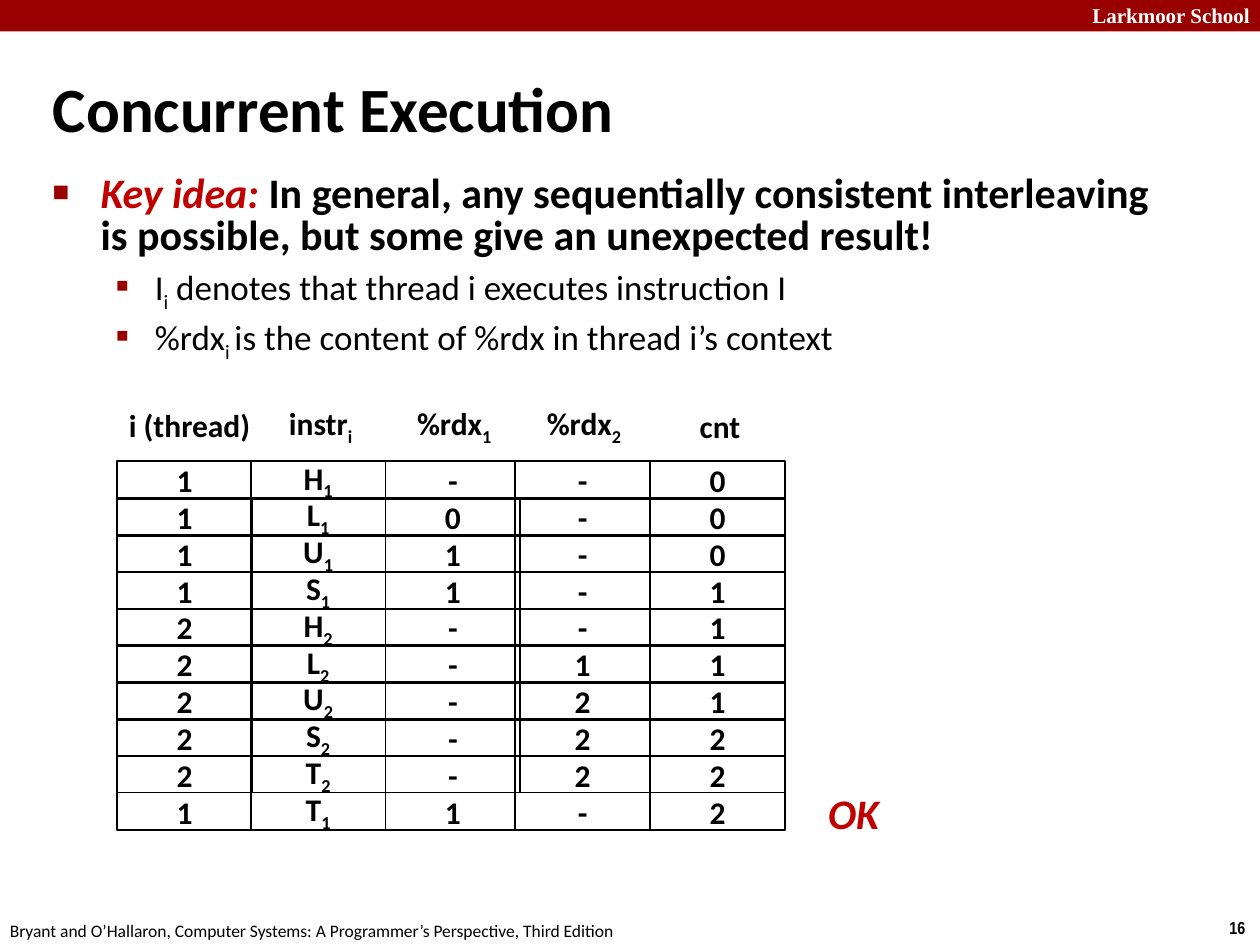
import pptx
import pptx.util
import pptx.dml.color
import pptx.enum.shapes
import pptx.enum.text
import pptx.oxml
import pptx.oxml.ns

Inches, Pt = pptx.util.Inches, pptx.util.Pt
Align, Anchor = pptx.enum.text.PP_ALIGN, pptx.enum.text.MSO_ANCHOR
Fit = pptx.enum.text.MSO_AUTO_SIZE

HUES = {"bar": "990000", "key": "C00000", "ink": "000000", "paper": "FFFFFF"}
COLS = [0, 1.06, 2.13, 3.16, 4.23]
CELL_W, CELL_H, PITCH = 1.07, 0.3, 0.29 + 0.02 / 9
HEADS = [  # text, left, top, width
    ("i (thread)", -0.01, 0, 1.17),
    ("instr_i", 1.26, 0.01, 0.71),
    ("%rdx_1", 2.27, 0.01, 0.81),
    ("%rdx_2", 3.3, 0.01, 0.81),
    ("cnt", 4.52, 0.01, 0.53),
]
STEPS = [
    ["1", "H_1", "-", "-", "0"],
    ["1", "L_1", "0", "-", "0"],
    ["1", "U_1", "1", "-", "0"],
    ["1", "S_1", "1", "-", "1"],
    ["2", "H_2", "-", "-", "1"],
    ["2", "L_2", "-", "1", "1"],
    ["2", "U_2", "-", "2", "1"],
    ["2", "S_2", "-", "2", "2"],
    ["2", "T_2", "-", "2", "2"],
    ["1", "T_1", "1", "-", "2"],
]


def hue(name):
    return pptx.dml.color.RGBColor.from_string(HUES[name])


def style(font, size, color="ink", bold=False, italic=False, face="Calibri"):
    font.size, font.name = Pt(size), face
    font.bold, font.italic = bold, italic
    font.color.rgb = hue(color)


def write(par, text):
    """Add runs to a paragraph; underscores switch subscript on and off."""
    for i, part in enumerate(text.split("_")):
        if part:
            run = par.add_run()
            run.text = part
            if i % 2:
                run._r.get_or_add_rPr().set("baseline", "-25000")


def node(tag, inner="", attrs=""):
    space = pptx.oxml.ns.nsdecls("a")
    return pptx.oxml.parse_xml(f"<a:{tag} {space} {attrs}>{inner}</a:{tag}>")


def bullet(par, char, size, left, hang):
    """Add a bullet; call it after the paragraph spacing is set."""
    props = par._p.get_or_add_pPr()
    props.set("marL", str(Inches(left)))
    props.set("indent", str(-Inches(hang)))
    props.append(node("buClr", f'<a:srgbClr val="{HUES["bar"]}"/>'))
    props.append(node("buSzPct", attrs=f'val="{size * 1000}"'))
    props.append(node("buFont", attrs='typeface="Calibri"'))
    props.append(node("buChar", attrs=f'char="{char}"'))


def label(slide, box, text, size, align=Align.LEFT, anchor=Anchor.TOP, **look):
    shape = slide.shapes.add_textbox(*map(Inches, box))
    frame = shape.text_frame
    frame.word_wrap = False
    frame.auto_size = Fit.SHAPE_TO_FIT_TEXT
    frame.vertical_anchor = anchor
    par = frame.paragraphs[0]
    par.alignment = align
    write(par, text)
    style(par.font, size, **look)


def block(slide, box, fill=None, line=None):
    shape = slide.shapes.add_shape(
        pptx.enum.shapes.MSO_SHAPE.RECTANGLE, *map(Inches, box))
    shape.shadow.inherit = False
    if fill:
        shape.fill.solid()
        shape.fill.fore_color.rgb = hue(fill)
    else:
        shape.fill.background()
    if line:
        shape.line.color.rgb = hue(line)
        shape.line.width = Pt(1)
    else:
        shape.line.fill.background()
    return shape


def banner(slide, left, top, width, height):
    block(slide, (left, top, width, height), "bar")
    label(slide, (left + width - 1.48, top - 0.03, 1.5, 0.3), "Larkmoor School",
          12, Align.RIGHT, color="paper", bold=True, face="Times New Roman")


def title(slide, left, top, width, height):
    shape = slide.shapes.title
    shape.left, shape.top = Inches(left), Inches(top)
    shape.width, shape.height = Inches(width), Inches(height)
    frame = shape.text_frame
    frame.auto_size = Fit.NONE
    frame.vertical_anchor = Anchor.MIDDLE
    par = frame.paragraphs[0]
    par.alignment = Align.LEFT
    write(par, "Concurrent Execution")
    style(par.font, 36, bold=True)


def points(slide, left, top, width, height):
    box = slide.shapes.add_textbox(*map(Inches, (left, top, width, height)))
    frame = box.text_frame
    frame.word_wrap = True
    par = frame.paragraphs[0]
    par.line_spacing, par.space_before = 0.85, Pt(4.8)
    bullet(par, "■", 42, 0.38, 0.38)
    write(par, "Key idea: ")
    write(par, "In general, any sequentially consistent interleaving "
               "is possible, but some give an unexpected result!")
    key, rest = par.runs
    style(key.font, 24, "key", bold=True, italic=True)
    style(rest.font, 24, bold=True)
    for text in ("I_i_ denotes that thread i executes instruction I",
                 "%rdx_i _is the content of %rdx in thread i’s context"):
        par = frame.add_paragraph()
        par.level = 1
        par.line_spacing, par.space_before = 0.9, Pt(4)
        bullet(par, "▪", 110, 0.81, 0.31)
        write(par, text)
        style(par.font, 20)


def cell(slide, box, text, fill):
    frame = block(slide, box, fill, "ink").text_frame
    frame.vertical_anchor = Anchor.MIDDLE
    par = frame.paragraphs[0]
    par.alignment = Align.CENTER
    write(par, text)
    style(par.font, 18, bold=True)


def trace(slide, left, top):
    """Heads over a grid of boxes; only its first and last rows are filled."""
    for text, x, y, width in HEADS:
        label(slide, (left + x, top + y, width, 0.4), text, 18,
              Align.CENTER, Anchor.MIDDLE, bold=True)
    for r, row in enumerate(STEPS):
        fill = "paper" if r in (0, len(STEPS) - 1) else None
        for x, text in zip(COLS, row):
            box = (left + x, top + 0.49 + r * PITCH, CELL_W, CELL_H)
            cell(slide, box, text, fill)
    label(slide, (left + 5.54, top + 3.03, 0.61, 0.5), "OK", 24,
          Align.CENTER, Anchor.MIDDLE, color="key", bold=True, italic=True)


def footer(slide, left, top):
    label(slide, (left, top, 5.08, 0.27),
          "Bryant and O’Hallaron, Computer Systems: "
          "A Programmer’s Perspective, Third Edition", 10)
    label(slide, (left + 9.68, top - 0.02, 0.34, 0.27), "16", 10,
          bold=True, face="Arial Narrow")


def main():
    deck = pptx.Presentation()
    deck.slide_width, deck.slide_height = Inches(10), Inches(7.5)
    slide = deck.slides.add_slide(deck.slide_layouts[5])
    banner(slide, 0, 0, 10, 0.25)
    title(slide, 0.32, 0.54, 7.24, 0.63)
    points(slide, 0.32, 1.33, 9.09, 1.59)
    trace(slide, 0.93, 3.17)
    footer(slide, -0.02, 7.25)
    deck.save("out.pptx")


if __name__ == "__main__":
    main()
